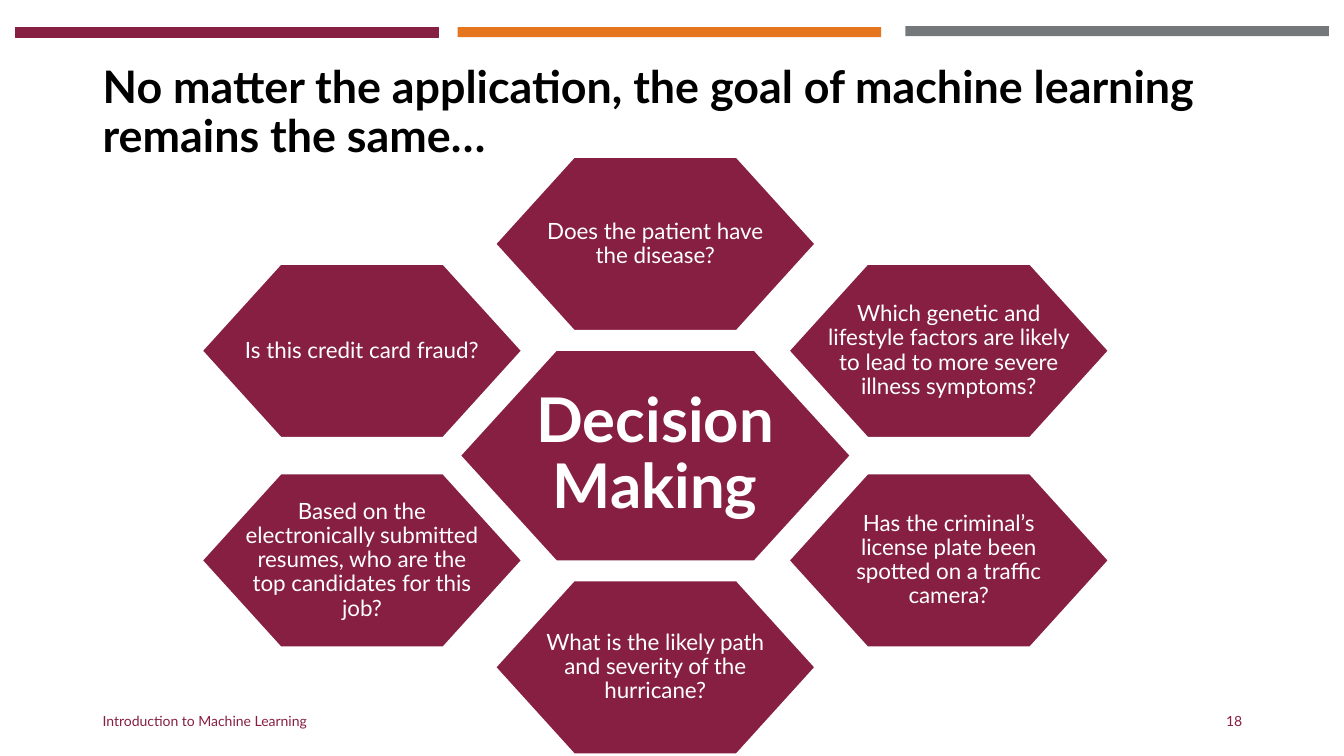
from pptx import Presentation
from pptx.dml.color import RGBColor
from pptx.enum.shapes import MSO_SHAPE
from pptx.enum.text import MSO_ANCHOR, PP_ALIGN
from pptx.util import Inches, Pt

MAROON = RGBColor(0x86, 0x1F, 0x41)
ORANGE = RGBColor(0xE5, 0x75, 0x1F)
GRAY = RGBColor(0x75, 0x78, 0x7B)
BLACK = RGBColor(0, 0, 0)
WHITE = RGBColor(0xFF, 0xFF, 0xFF)
FONT = "Lato"

# Horizontal and vertical offset of each question from the hub's centre
QUESTIONS = [
    (0, -2.1, "Does the patient have the disease?"),
    (2.91, -1.04, "Which genetic and lifestyle factors are likely to lead to more severe illness symptoms?"),
    (2.91, 1.04, "Has the criminal’s license plate been spotted on a traffic camera?"),
    (0, 2.1, "What is the likely path and severity of the hurricane?"),
    (-2.91, 1.04, "Based on the electronically submitted resumes, who are the top candidates for this job?"),
    (-2.91, -1.04, "Is this credit card fraud?"),
]


def write_text(shape, text, size, color, bold=False, align=PP_ALIGN.LEFT, line_spacing=1.0):
    frame = shape.text_frame
    frame.word_wrap = True
    frame.vertical_anchor = MSO_ANCHOR.MIDDLE
    paragraph = frame.paragraphs[0]
    paragraph.alignment = align
    paragraph.line_spacing = line_spacing
    run = paragraph.add_run()
    run.text = text
    run.font.name = FONT
    run.font.size = Pt(size)
    run.font.bold = bold
    run.font.color.rgb = color


def add_label(slide, left, top, width, height, text, size, color, **style):
    box = slide.shapes.add_textbox(Inches(left), Inches(top), Inches(width), Inches(height))
    write_text(box, text, size, color, **style)


def add_header_bars(slide):
    for left, top, color in [(0.15, 0.27, MAROON), (8.98, 0.26, GRAY), (4.54, 0.27, ORANGE)]:
        bar = slide.shapes.add_shape(
            MSO_SHAPE.RECTANGLE, Inches(left), Inches(top), Inches(4.2), Inches(0.1))
        bar.shadow.inherit = False
        bar.fill.solid()
        bar.fill.fore_color.rgb = color
        if color == MAROON:
            bar.line.color.rgb = color
            bar.line.width = Pt(0.75)
        else:
            bar.line.fill.background()


def add_hexagon(slide, center_x, center_y, width, height, text, size, bold=False):
    left, right = center_x - width / 2, center_x + width / 2
    top, bottom = center_y - height / 2, center_y + height / 2
    shoulder = 0.246 * width
    corners = [(left, center_y), (left + shoulder, top), (right - shoulder, top),
               (right, center_y), (right - shoulder, bottom), (left + shoulder, bottom)]
    points = [(Inches(x), Inches(y)) for x, y in corners]
    builder = slide.shapes.build_freeform(*points[0])
    builder.add_line_segments(points[1:], close=True)
    hexagon = builder.convert_to_shape()
    hexagon.shadow.inherit = False
    hexagon.fill.solid()
    hexagon.fill.fore_color.rgb = MAROON
    hexagon.line.color.rgb = WHITE
    hexagon.line.width = Pt(1)
    frame = hexagon.text_frame
    frame.margin_left = frame.margin_right = Inches(0.12 * width)
    frame.margin_top = frame.margin_bottom = Inches(0.2 * height)
    write_text(hexagon, text, size, WHITE, bold, PP_ALIGN.CENTER, 0.9)


def add_decision_cluster(slide, center_x, center_y):
    add_hexagon(slide, center_x, center_y, 3.87, 2.09, "Decision Making", 44, bold=True)
    for offset_x, offset_y, question in QUESTIONS:
        add_hexagon(slide, center_x + offset_x, center_y + offset_y, 3.17, 1.72, question, 16)


def add_footer(slide, left, top, width, height):
    number_width = 3
    add_label(slide, left, top, 4.5, height, "Introduction to Machine Learning", 10, MAROON)
    add_label(slide, left + width - number_width, top, number_width, height,
              "18", 10, MAROON, align=PP_ALIGN.RIGHT)


def main():
    presentation = Presentation()
    presentation.slide_width = Inches(13.33)
    presentation.slide_height = Inches(7.5)
    slide = presentation.slides.add_slide(presentation.slide_layouts[6])
    add_header_bars(slide)
    add_label(slide, 0.92, 0.4, 11.5, 1.45,
              "No matter the application, the goal of machine learning remains the same…",
              32, BLACK, bold=True, line_spacing=0.9)
    add_footer(slide, 0.92, 6.95, 11.5, 0.4)
    add_decision_cluster(slide, 6.5, 4.52)
    presentation.save("out.pptx")


if __name__ == "__main__":
    main()
